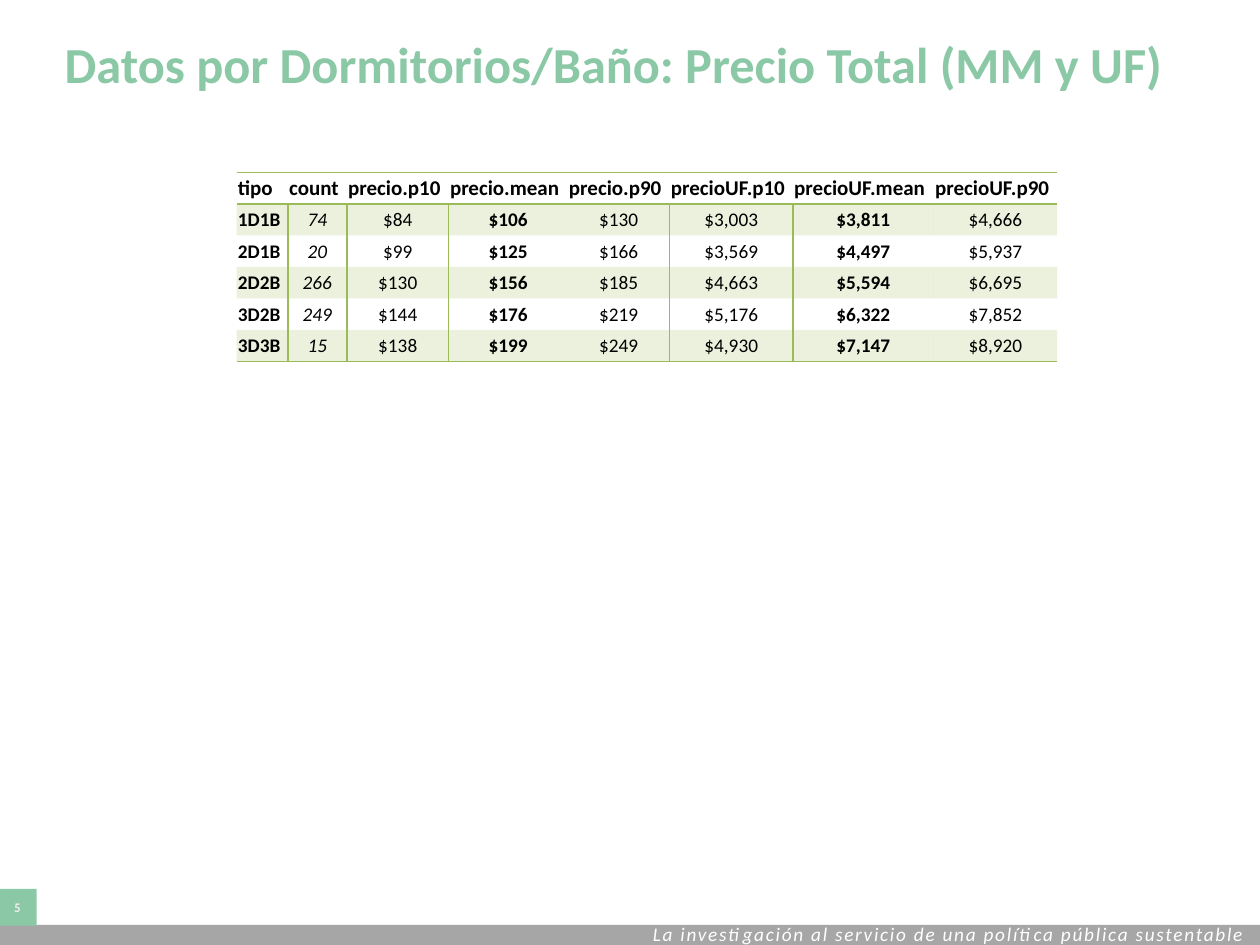
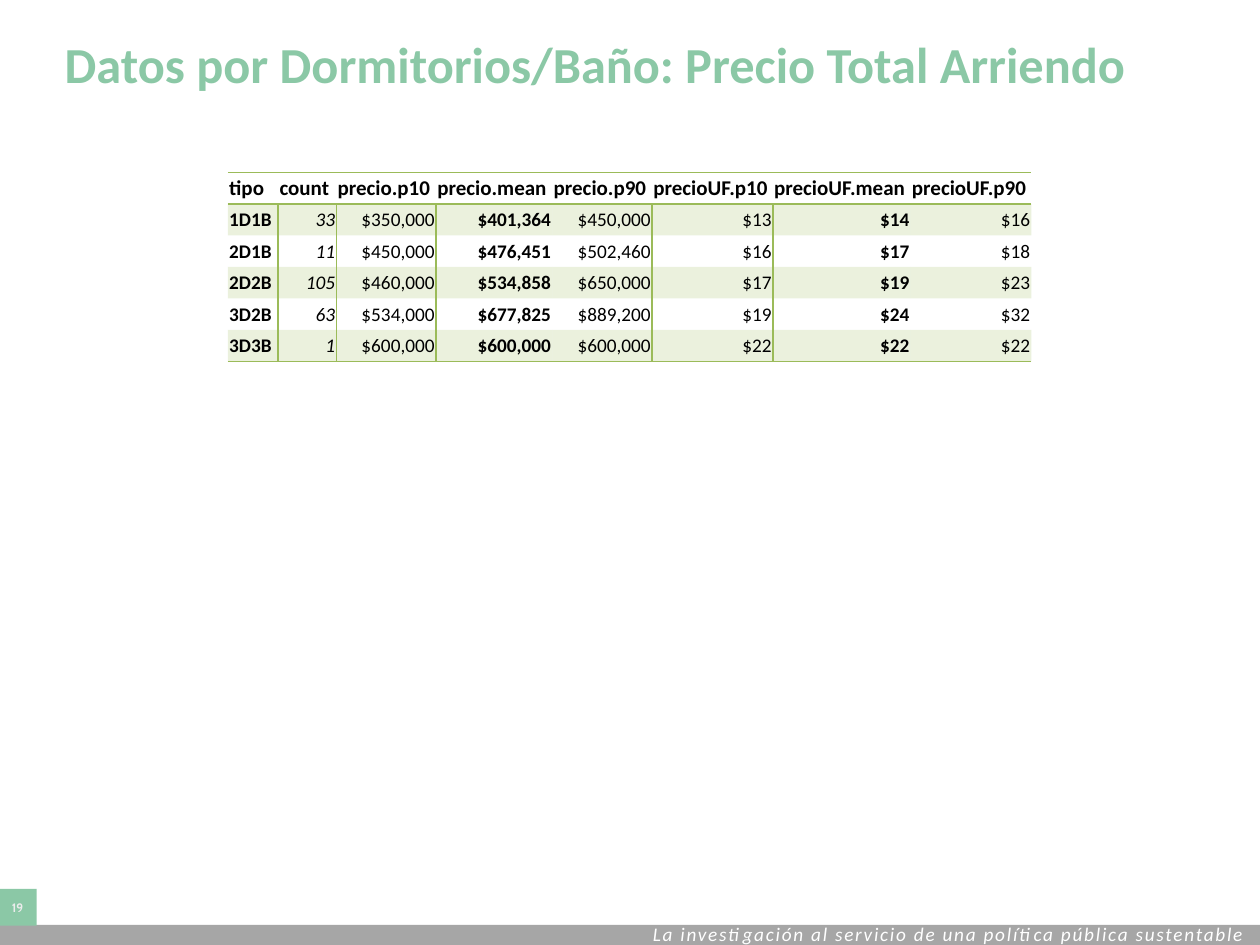
from dataclasses import dataclass
from typing import Any

import lxml.etree
import pptx
import pptx.dml.color
import pptx.enum.shapes
import pptx.enum.text
import pptx.oxml.ns
import pptx.util

Pt = pptx.util.Pt
qn = pptx.oxml.ns.qn
Align = pptx.enum.text.PP_ALIGN
Anchor = pptx.enum.text.MSO_ANCHOR

MINT, GREY, PALE, WHITE, BLACK, OLIVE = (
    "8BC8A6", "A6A6A6", "ECECEC", "FFFFFF", "000000", "9BBB59")
TAGLINE = "La investigación al servicio de una política pública sustentable"
HEADINGS = ("tipo", "count", "precio.p10", "precio.mean", "precio.p90",
            "precioUF.p10", "precioUF.mean", "precioUF.p90")
TABLE_TOP, ROW_HEIGHT = 98.5, 18
BOLD_COLUMNS, ITALIC_COLUMNS = {0, 3, 6}, {1}
RULED_COLUMNS = {0, 1, 2, 4, 5}  # body columns with a line on their right
STRIPE_OPACITY = 20
NO_STYLE = "{2D5ABB26-0587-4C30-8999-92F81FD0307C}"


@dataclass(frozen=True)
class Box:
    left: float
    top: float
    width: float
    height: float

    def lengths(self) -> tuple:
        return tuple(Pt(n) for n in (self.left, self.top, self.width, self.height))


@dataclass(frozen=True)
class PricePage:
    number: int
    title: str
    table_left: float
    widths: tuple[float, ...]
    align: Any
    rows: tuple[str, ...]


TITLE_BOX = Box(34, 3.5, 672, 65.5)
BAND_BOX = Box(-1, 528.5, 722, 11.5)
NUMBER_BOX = Box(-1, 508, 22, 21)
TAGLINE_BOX = Box(366, 523.5, 405, 21)

PAGES = (
    PricePage(5, "Datos por Dormitorios/Baño: Precio Total (MM y UF)", 135.25,
              (29.25, 33.75, 58.25, 68, 58.25, 70.5, 80.5, 70.5), Align.CENTER,
              ("1D1B 74 $84 $106 $130 $3,003 $3,811 $4,666",
               "2D1B 20 $99 $125 $166 $3,569 $4,497 $5,937",
               "2D2B 266 $130 $156 $185 $4,663 $5,594 $6,695",
               "3D2B 249 $144 $176 $219 $5,176 $6,322 $7,852",
               "3D3B 15 $138 $199 $249 $4,930 $7,147 $8,920")),
    PricePage(19, "Datos por Dormitorios/Baño: Precio Total Arriendo", 130.25,
              (28.75, 33.25, 57, 66.5, 57, 69, 78.75, 69), Align.RIGHT,
              ("1D1B 33 $350,000 $401,364 $450,000 $13 $14 $16",
               "2D1B 11 $450,000 $476,451 $502,460 $16 $17 $18",
               "2D2B 105 $460,000 $534,858 $650,000 $17 $19 $23",
               "3D2B 63 $534,000 $677,825 $889,200 $19 $24 $32",
               "3D3B 1 $600,000 $600,000 $600,000 $22 $22 $22")),
)


def color(hex_text: str) -> pptx.dml.color.RGBColor:
    return pptx.dml.color.RGBColor.from_string(hex_text)


def set_format(target: Any, values: dict[str, Any]) -> None:
    for name, value in values.items():
        setattr(target, name, value)


def margins(left: float, top: float, right: float, bottom: float) -> dict[str, Any]:
    return {"margin_left": Pt(left), "margin_top": Pt(top),
            "margin_right": Pt(right), "margin_bottom": Pt(bottom)}


def write(frame: Any, text: str, size: float, hex_text: str, font: str = "Calibri",
          align: Any = Align.LEFT, bold: bool = False, italic: bool = False) -> Any:
    """Put one formatted line in the frame and return its run."""
    para = frame.paragraphs[0]
    para.alignment = align
    span = para.add_run()
    span.text = text
    set_format(span.font, {"name": font, "size": Pt(size), "bold": bold, "italic": italic})
    span.font.color.rgb = color(hex_text)
    return span


def add_block(page: Any, box: Box, fill: str) -> Any:
    block = page.shapes.add_shape(pptx.enum.shapes.MSO_SHAPE.RECTANGLE, *box.lengths())
    block.shadow.inherit = False
    block.fill.solid()
    block.fill.fore_color.rgb = color(fill)
    block.line.fill.background()
    return block


def add_footer(page: Any, number: int) -> None:
    add_block(page, BAND_BOX, GREY)
    tagline = page.shapes.add_textbox(*TAGLINE_BOX.lengths())
    tagline.text_frame.word_wrap = True
    span = write(tagline.text_frame, TAGLINE, 11, WHITE, italic=True)
    span.font._element.set("spc", "100")

    frame = add_block(page, NUMBER_BOX, MINT).text_frame
    set_format(frame, {"word_wrap": False, "vertical_anchor": Anchor.MIDDLE})
    write(frame, str(number), 7, PALE, "Cabin", Align.CENTER, bold=True)
    frame.paragraphs[0].space_after = Pt(6)


def add_title(page: Any, text: str) -> None:
    title = page.shapes.title
    set_format(title, dict(zip(("left", "top", "width", "height"), TITLE_BOX.lengths())))
    frame = title.text_frame
    set_format(frame, {"word_wrap": True, "vertical_anchor": Anchor.MIDDLE,
                       "auto_size": pptx.enum.text.MSO_AUTO_SIZE.NONE,
                       **margins(3, 1.5, 3, 1.5)})
    write(frame, text, 28.8, MINT, bold=True)


def add_borders(cell: Any, ruled_sides: set[str]) -> None:
    properties = cell._tc.get_or_add_tcPr()
    for side in "LRTB":
        line = lxml.etree.SubElement(properties, qn(f"a:ln{side}"), w=str(Pt(1)))
        if side in ruled_sides:
            fill = lxml.etree.SubElement(line, qn("a:solidFill"))
            lxml.etree.SubElement(fill, qn("a:srgbClr"), val=OLIVE)
        else:
            lxml.etree.SubElement(line, qn("a:noFill"))


def fill_cell(cell: Any, striped: bool) -> None:
    if not striped:
        cell.fill.background()
        return
    cell.fill.solid()
    cell.fill.fore_color.rgb = color(OLIVE)
    tint = cell._tc.tcPr.find(f".//{qn('a:solidFill')}[last()]/{qn('a:srgbClr')}")
    for fill in cell._tc.tcPr.findall(qn("a:solidFill")):
        tint = fill.find(qn("a:srgbClr"))
    lxml.etree.SubElement(tint, qn("a:alpha"), val=str(STRIPE_OPACITY * 1000))


def ruled_sides(row: int, column: int, last_row: int) -> set[str]:
    rules = {"T": row in (0, 1), "B": row in (0, last_row),
             "L": row > 0 and column - 1 in RULED_COLUMNS,
             "R": row > 0 and column in RULED_COLUMNS}
    return {side for side, ruled in rules.items() if ruled}


def add_price_table(page: Any, content: PricePage) -> None:
    lines = [HEADINGS, *(row.split() for row in content.rows)]
    box = Box(content.table_left, TABLE_TOP, sum(content.widths), ROW_HEIGHT * len(lines))
    table = page.shapes.add_table(len(lines), len(HEADINGS), *box.lengths()).table
    set_format(table, {"first_row": False, "horz_banding": False})
    table._tbl.tblPr.find(qn("a:tableStyleId")).text = NO_STYLE
    for column, width in zip(table.columns, content.widths):
        column.width = Pt(width)
    for row, line in enumerate(lines):
        table.rows[row].height = Pt(ROW_HEIGHT)
        for column, text in enumerate(line):
            cell = table.cell(row, column)
            header = row == 0
            set_format(cell, {"vertical_anchor": Anchor.MIDDLE, **margins(0.75, 0.75, 0.75, 0)})
            write(cell.text_frame, text, 12 if header else 11, BLACK,
                  align=Align.LEFT if header or column == 0 else content.align,
                  bold=header or column in BOLD_COLUMNS,
                  italic=not header and column in ITALIC_COLUMNS)
            add_borders(cell, ruled_sides(row, column, len(lines) - 1))
            fill_cell(cell, striped=row % 2 == 1)


def main() -> None:
    deck = pptx.Presentation()
    set_format(deck, {"slide_width": Pt(720), "slide_height": Pt(540)})
    title_only = deck.slide_layouts.get_by_name("Title Only")
    for content in PAGES:
        page = deck.slides.add_slide(title_only)
        add_footer(page, content.number)
        add_title(page, content.title)
        add_price_table(page, content)
    deck.save("out.pptx")


if __name__ == "__main__":
    main()
